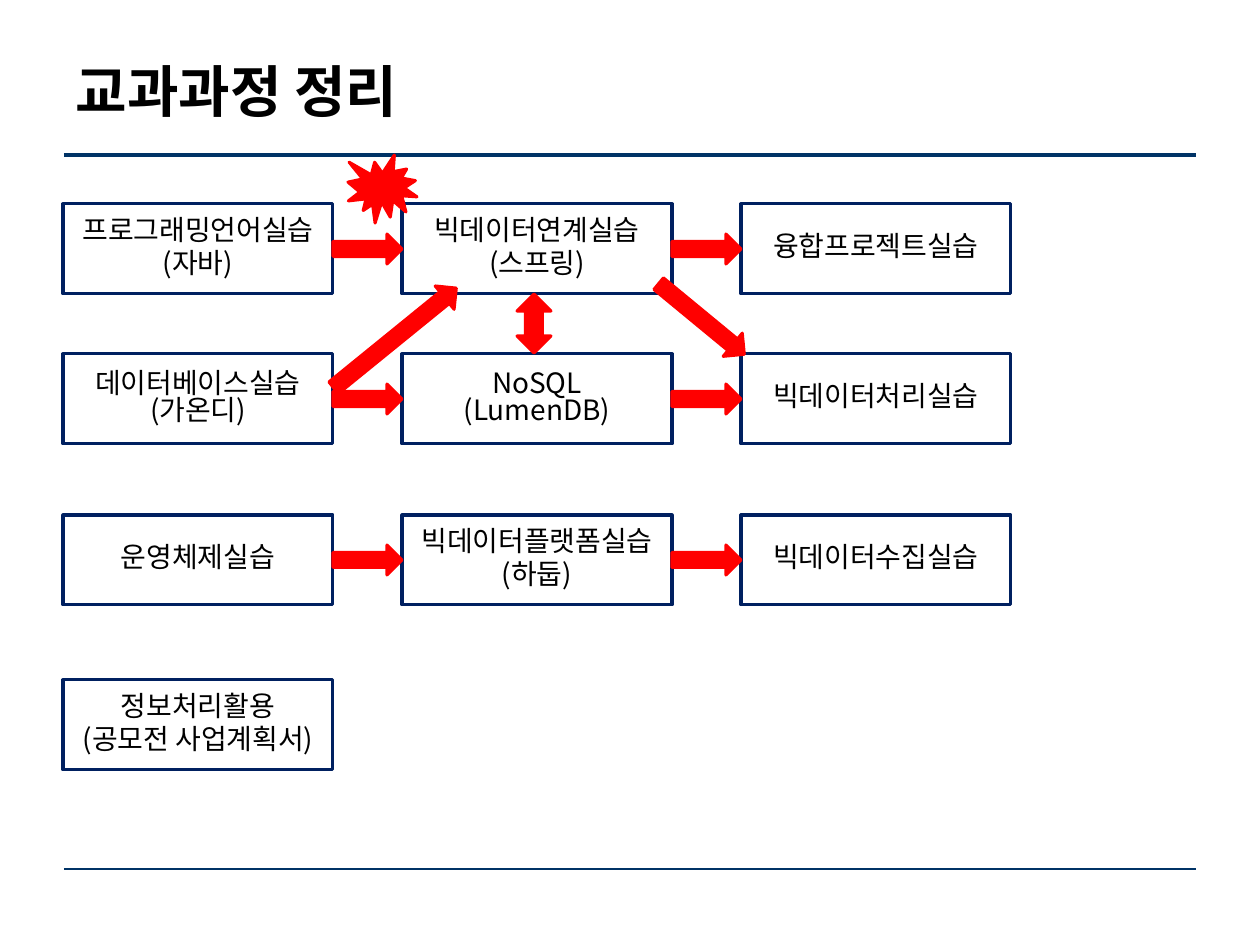
"""Build the curriculum overview slide with its course flow."""
from lxml.etree import SubElement
from pptx import Presentation
from pptx.dml.color import RGBColor
from pptx.enum.shapes import MSO_CONNECTOR, MSO_SHAPE
from pptx.enum.text import MSO_ANCHOR, PP_ALIGN
from pptx.oxml.ns import qn
from pptx.util import Pt

PX = 914400 // 126
KOREAN_FONT = "Noto Sans CJK KR"
NAVY, RED, BLACK = "002060", "FF0000", "000000"

TITLE = "교과과정 정리"
COURSE_ROWS = [
    (204, ["프로그래밍언어실습\n(자바)", "빅데이터연계실습\n(스프링)", "융합프로젝트실습"]),
    (354, ["데이터베이스실습\v(가온디)", "NoSQL\v(LumenDB)", "빅데이터처리실습"]),
    (515, ["운영체제실습", "빅데이터플랫폼실습\n(하둡)", "빅데이터수집실습"]),
    (680, ["정보처리활용\n(공모전 사업계획서)"]),
]
RULES = [(869, 0.75), (155, 2)]
EXTRA_MARKS = [
    (MSO_SHAPE.RIGHT_ARROW, (646, 304, 111, 30), 39.5),
    (MSO_SHAPE.RIGHT_ARROW, (316, 323, 158, 30), 320.9),
    (MSO_SHAPE.UP_DOWN_ARROW, (517, 294, 34, 59), 0),
    (MSO_SHAPE.EXPLOSION1, (348, 155, 69, 68), 0),
]
LEFT, BOX_WIDTH, BOX_HEIGHT, GAP, ARROW_HEIGHT = 63, 270, 90, 69, 30


def color(value):
    return RGBColor.from_string(value)


def scaled(*lengths):
    return [length * PX for length in lengths]


def format_span(span, size, font, bold=False):
    span.font.size = Pt(size)
    span.font.name = font
    span.font.bold = bold
    span.font.color.rgb = color(BLACK)
    SubElement(span._r.get_or_add_rPr(), qn("a:ea"), typeface=KOREAN_FONT)


def add_title(page):
    title = page.shapes.title
    title.left, title.top, title.width, title.height = scaled(63, 35, 1134, 110)
    title.text_frame.text = TITLE
    title.text_frame.vertical_anchor = MSO_ANCHOR.MIDDLE
    paragraph = title.text_frame.paragraphs[0]
    paragraph.alignment = PP_ALIGN.JUSTIFY
    format_span(paragraph.runs[0], 32, "Times New Roman", True)


def add_rule(page, y, width):
    rule = page.shapes.add_connector(MSO_CONNECTOR.STRAIGHT, *scaled(64, y, 1196, y))
    rule.line.color.rgb = color("003366")
    rule.line.width = Pt(width)
    SubElement(rule._element.spPr, qn("a:effectLst"))


def add_outlined(page, kind, place, line_color):
    shape = page.shapes.add_shape(kind, *scaled(*place))
    shape.shadow.inherit = False
    shape.line.color.rgb = color(line_color)
    shape.line.width = Pt(1.75)
    return shape


def add_course(page, x, y, text):
    box = add_outlined(page, MSO_SHAPE.RECTANGLE, (x, y, BOX_WIDTH, BOX_HEIGHT), NAVY)
    box.fill.background()
    frame = box.text_frame
    frame.text = text
    frame.word_wrap = False
    frame.vertical_anchor = MSO_ANCHOR.MIDDLE
    for paragraph in frame.paragraphs:
        paragraph.alignment = PP_ALIGN.CENTER
        paragraph.line_spacing = 0.8
        paragraph.space_before = Pt(4)
        for span in paragraph.runs:
            format_span(span, 16, KOREAN_FONT)


def add_mark(page, kind, place, rotation=0):
    mark = add_outlined(page, kind, place, RED)
    mark.fill.solid()
    mark.fill.fore_color.rgb = color(RED)
    mark.rotation = rotation


def main():
    deck = Presentation()
    deck.slide_width, deck.slide_height = scaled(1260, 945)
    page = deck.slides.add_slide(deck.slide_layouts[5])
    for y, width in RULES:
        add_rule(page, y, width)
    add_title(page)
    for y, courses in COURSE_ROWS:
        for column, text in enumerate(courses):
            x = LEFT + column * (BOX_WIDTH + GAP)
            add_course(page, x, y, text)
            if column:
                arrow_top = y + (BOX_HEIGHT - ARROW_HEIGHT) // 2
                add_mark(page, MSO_SHAPE.RIGHT_ARROW, (x - GAP, arrow_top, GAP, ARROW_HEIGHT))
    for mark in EXTRA_MARKS:
        add_mark(page, *mark)
    deck.save("out.pptx")


if __name__ == "__main__":
    main()
